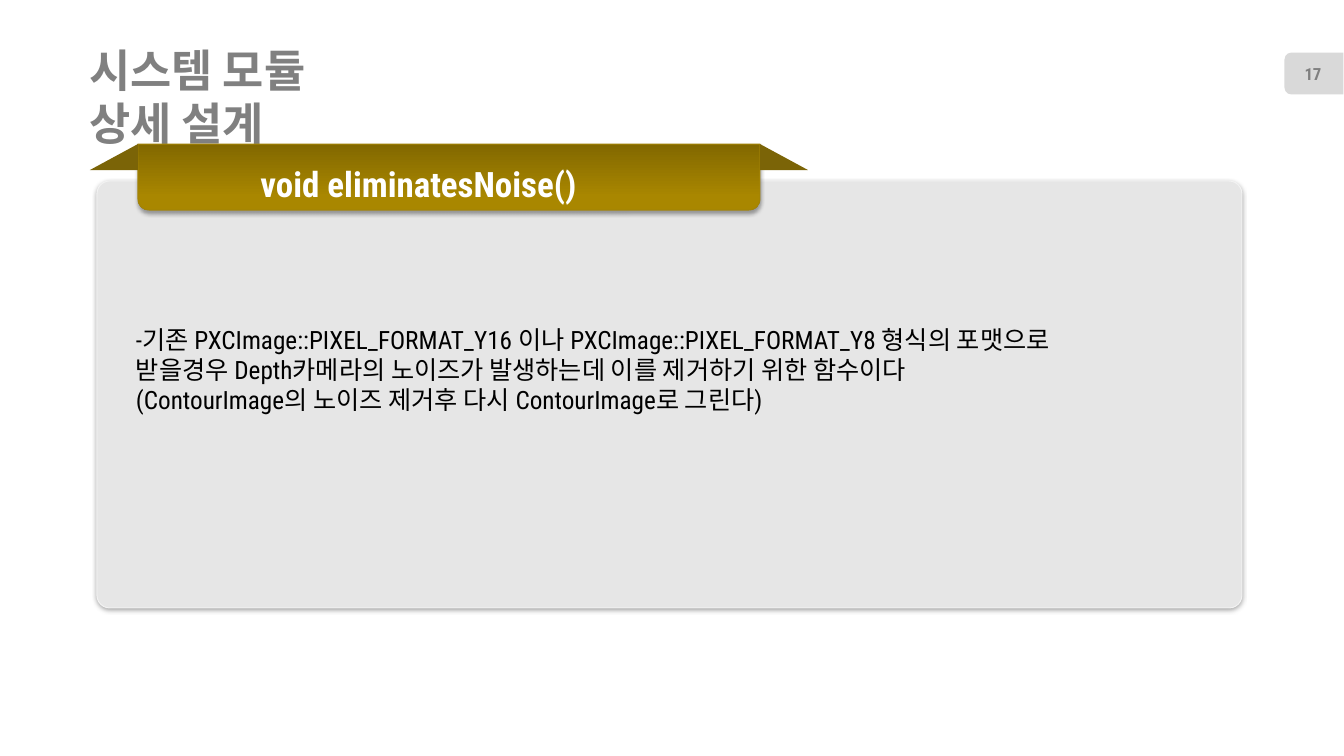
from lxml import etree
from pptx import Presentation
from pptx.dml.color import RGBColor
from pptx.enum.shapes import MSO_SHAPE
from pptx.enum.text import MSO_ANCHOR, MSO_AUTO_SIZE, PP_ALIGN
from pptx.oxml.ns import qn
from pptx.util import Pt

PX = 914400 / 100.8
COLORS = {
    "gray": "808080", "tab": "D9D9D9", "panel": "E6E6E6", "panel_line": "F2F2F2",
    "gold_dark": "826800", "gold": "A98700", "gold_line": "A48406",
    "fold": "7B6407", "white": "FFFFFF", "black": "000000",
}
rgb = {name: RGBColor.from_string(value) for name, value in COLORS.items()}

prs = Presentation()
prs.slide_width, prs.slide_height = round(1344 * PX), round(756 * PX)
s = prs.slides.add_slide(prs.slide_layouts[5])


def add_shape(kind, box, fill=None, line=None, shadow=None):
    """Add a shape; shadow is (opacity %, distance in points)."""
    sp = s.shapes.add_shape(kind, *(round(v * PX) for v in box))
    sp.shadow.inherit = False
    if fill:
        sp.fill.solid()
        sp.fill.fore_color.rgb = rgb[fill]
    if line:
        sp.line.color.rgb = rgb[line]
        sp.line.width = Pt(0.75)
    else:
        sp.line.fill.background()
    if shadow:
        opacity, dist = shadow
        effects = sp._element.spPr.find(qn("a:effectLst"))
        outer = etree.SubElement(effects, qn("a:outerShdw"), blurRad=str(Pt(3.1)),
                                 dist=str(Pt(dist)), dir="5400000", rotWithShape="0")
        color = etree.SubElement(outer, qn("a:srgbClr"), val=COLORS["black"])
        etree.SubElement(color, qn("a:alpha"), val=str(opacity * 1000))
    return sp


def set_text(sp, box, lines, size, font, color, bold, align, anchor, margins=(0, 0)):
    sp.left, sp.top, sp.width, sp.height = (round(v * PX) for v in box)
    tf = sp.text_frame
    tf.word_wrap = True
    tf.auto_size = MSO_AUTO_SIZE.NONE
    tf.vertical_anchor = anchor
    tf.margin_left = tf.margin_right = round(margins[0] * PX)
    tf.margin_top = tf.margin_bottom = round(margins[1] * PX)
    tf.text = "\n".join(lines)
    for p in tf.paragraphs:
        p.alignment = align
        p.line_spacing = 1.0
        p.space_before = Pt(0)
        p.font.size, p.font.name, p.font.bold = Pt(size), font, bold
        p.font.color.rgb = rgb[color]


# Page number tab
tab = add_shape(MSO_SHAPE.ROUND_2_SAME_RECTANGLE, (1293, 44, 42, 59), "tab")
tab.rotation = 270
set_text(s.shapes.add_textbox(0, 0, 0, 0), (1285, 54, 56, 40), ["17"], 12,
         "Roboto Condensed", "gray", True, PP_ALIGN.CENTER, MSO_ANCHOR.MIDDLE)

# Title
set_text(s.shapes.title, (89, 70, 281, 52), ["시스템 모듈\v상세 설계"], 32,
         "Roboto", "gray", True, PP_ALIGN.LEFT, MSO_ANCHOR.MIDDLE)

# Content panel
panel = add_shape(MSO_SHAPE.ROUNDED_RECTANGLE, (97, 181, 1145, 427),
                  "panel", "panel_line", (38, 1.6))
panel.adjustments[0] = 0.03

# Ribbon with rounded lower corners
ribbon = add_shape(MSO_SHAPE.ROUND_2_SAME_RECTANGLE, (138, 144, 622, 66),
                   line="gold_line", shadow=(35, 1.8))
ribbon.adjustments[0], ribbon.adjustments[1] = 0, 0.17
ribbon.fill.gradient()
ribbon.fill.gradient_angle = 270
for stop, color, position in zip(ribbon.fill.gradient_stops, ("gold_dark", "gold"), (0, 0.8)):
    stop.color.rgb = rgb[color]
    stop.position = position

# Ribbon folds
for left, flip in ((90, "1"), (760, "0")):
    fold = add_shape(MSO_SHAPE.RIGHT_TRIANGLE, (left, 144, 48, 26), "fold")
    fold._element.spPr.get_or_add_xfrm().set("flipH", flip)

# Function name
set_text(s.shapes.add_textbox(0, 0, 0, 0), (230, 160, 377, 46), ["void eliminatesNoise()"], 25,
         "Roboto Condensed", "white", True, PP_ALIGN.CENTER, MSO_ANCHOR.MIDDLE)

# Description
description = [
    "-기존 PXCImage::PIXEL_FORMAT_Y16 이나 PXCImage::PIXEL_FORMAT_Y8 형식의 포맷으로",
    "받을경우 Depth카메라의 노이즈가 발생하는데 이를 제거하기 위한 함수이다",
    "(ContourImage의 노이즈 제거후 다시 ContourImage로 그린다)",
]
set_text(s.shapes.add_textbox(0, 0, 0, 0), (126, 319, 1076, 102), description, 18,
         "Roboto Condensed", "black", False, PP_ALIGN.LEFT, MSO_ANCHOR.TOP, (10, 5))

prs.save("out.pptx")
